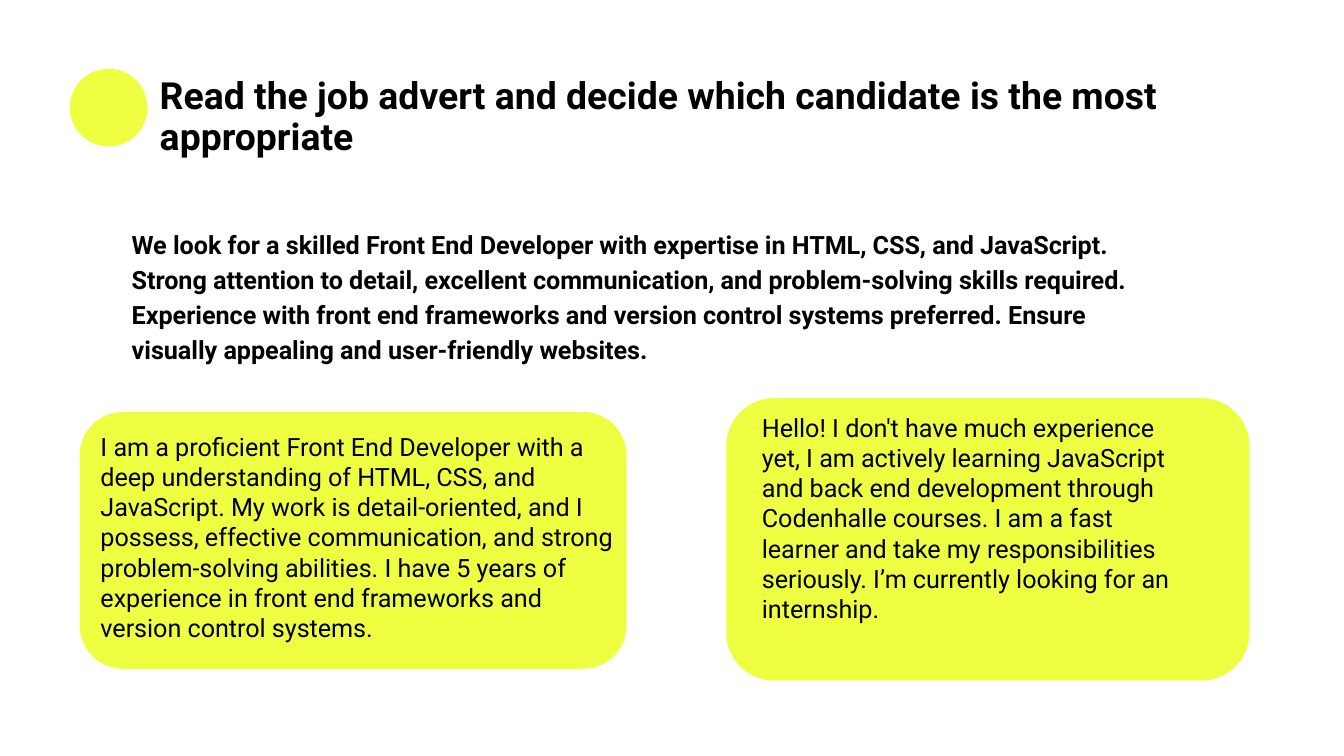
import pptx
import pptx.dml.color
import pptx.enum.shapes
import pptx.util

Cm = pptx.util.Cm
Pt = pptx.util.Pt
SHAPE = pptx.enum.shapes.MSO_SHAPE

LIME = pptx.dml.color.RGBColor(0xEE, 0xFF, 0x41)
BLACK = pptx.dml.color.RGBColor(0, 0, 0)

TITLE = "Read the job advert and decide which candidate is the most appropriate"
ADVERT = (
    "We look for a skilled Front End Developer with expertise in HTML, CSS, and JavaScript. "
    "Strong attention to detail, excellent communication, and problem-solving skills required. "
    "Experience with front end frameworks and version control systems preferred. "
    "Ensure visually appealing and user-friendly websites."
)
EXPERT = (
    "I am a proficient Front End Developer with a deep understanding of HTML, CSS, and JavaScript. "
    "My work is detail-oriented, and I possess, effective communication, and strong "
    "problem-solving abilities. I have 5 years of experience in front end frameworks "
    "and version control systems."
)
LEARNER = (
    "Hello! I don't have much experience yet, I am actively learning JavaScript "
    "and back end development through Codenhalle courses. I am a fast learner and "
    "take my responsibilities seriously. I’m currently looking for an internship."
)


class Deck:
    """Holds the text style and the current slide; lengths are in centimetres."""

    font = {"name": "Roboto", "size": Pt(13.5), "bold": False}

    def __init__(self, prs):
        self.s = prs.slides.add_slide(prs.slide_layouts[6])

    def shape(self, kind, box):
        sp = self.s.shapes.add_shape(kind, *map(Cm, box))
        sp.shadow.inherit = False
        sp.fill.solid()
        sp.fill.fore_color.rgb = LIME
        sp.line.color.rgb = LIME
        sp.line.width = Pt(0.75)
        return sp

    def circle(self, x, y, size):
        self.shape(SHAPE.OVAL, (x, y, size, size)).line.fill.background()

    def text(self, text, box, spacing=1.0, indent=0, **font):
        tf = self.s.shapes.add_textbox(*map(Cm, box)).text_frame
        tf.word_wrap = True
        for side in ("left", "top", "right", "bottom"):
            setattr(tf, f"margin_{side}", Cm(0.25))
        p = tf.paragraphs[0]
        p.line_spacing = spacing
        if indent:
            p._p.get_or_add_pPr().set("marL", str(Cm(indent)))
        r = p.add_run()
        r.text = text
        for key, value in {**self.font, **font}.items():
            setattr(r.font, key, value)
        r.font.color.rgb = BLACK

    def candidate(self, text, card, text_box):
        self.shape(SHAPE.ROUNDED_RECTANGLE, card)
        self.text(text, text_box)


def main():
    prs = pptx.Presentation()
    prs.slide_width, prs.slide_height = Cm(25.4), Cm(14.29)
    deck = Deck(prs)
    deck.text(TITLE, (2.77, 1.22, 20.83, 2.06), spacing=0.9, size=Pt(20), bold=True)
    deck.circle(1.32, 1.3, 1.47)
    deck.text(ADVERT, (0.97, 4.01, 21.21, 3.07), spacing=1.15, indent=1.27, bold=True)
    deck.candidate(EXPERT, (1.52, 7.8, 10.31, 4.83), (1.65, 7.9, 10.19, 4.55))
    deck.candidate(LEARNER, (13.74, 7.54, 9.86, 5.31), (14.15, 7.54, 8.66, 4.55))
    prs.save("out.pptx")


if __name__ == "__main__":
    main()
